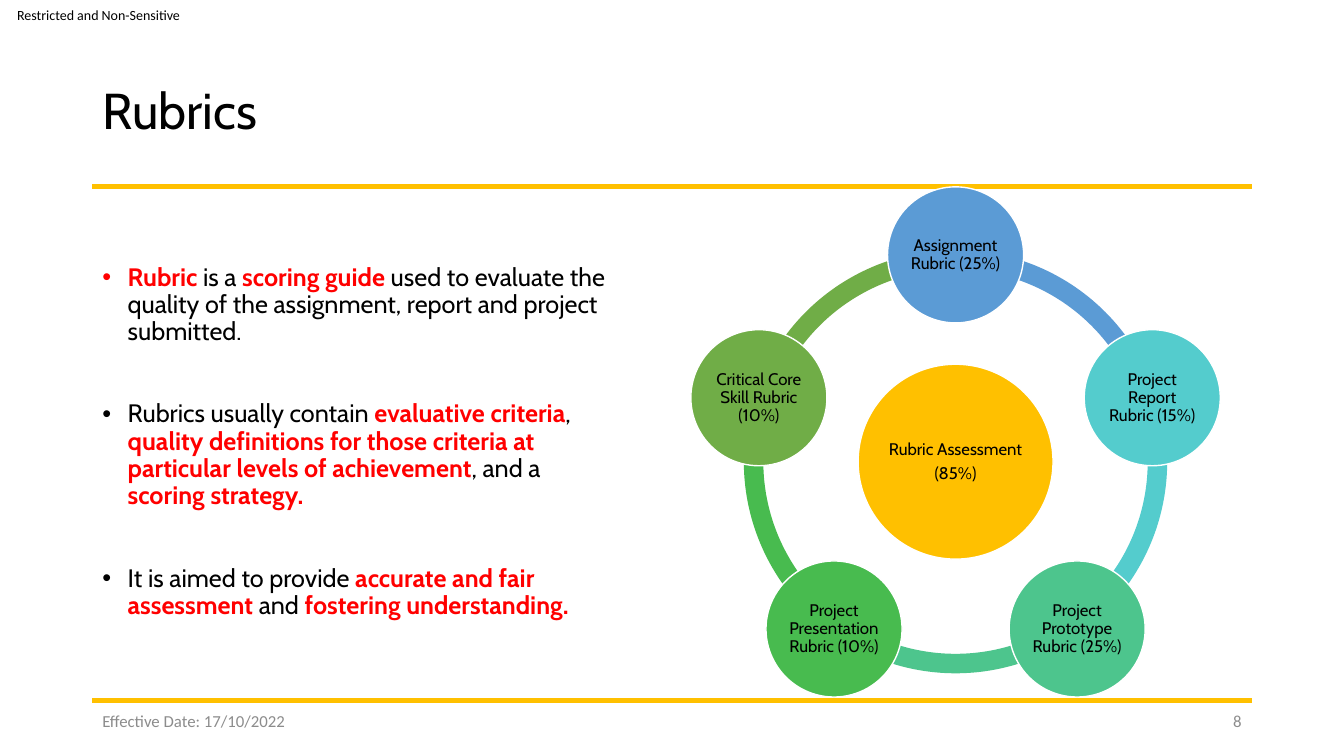
from dataclasses import dataclass
from math import cos, pi, sin

from lxml.etree import SubElement
from pptx import Presentation
from pptx.dml.color import RGBColor
from pptx.enum.shapes import MSO_CONNECTOR as Connector, MSO_SHAPE as Preset
from pptx.enum.text import MSO_ANCHOR as Anchor, MSO_AUTO_SIZE as AutoSize, PP_ALIGN as Align
from pptx.oxml.ns import qn
from pptx.shapes.autoshape import Shape
from pptx.shapes.shapetree import GroupShapes, SlideShapes
from pptx.slide import Slide
from pptx.text.text import TextFrame, _Paragraph as Paragraph
from pptx.util import Emu, Inches, Pt

SLIDE_WIDTH, SLIDE_HEIGHT = Inches(13.333), Inches(7.5)
COLUMNS, ROWS = 160, 150

BLACK = RGBColor(0x00, 0x00, 0x00)
WHITE = RGBColor(0xFF, 0xFF, 0xFF)
RED = RGBColor(0xFF, 0x00, 0x00)
GRAY = RGBColor(0x8C, 0x8C, 0x8C)
GOLD = RGBColor(0xFF, 0xC0, 0x00)
BLUE = RGBColor(0x5B, 0x9B, 0xD5)
TURQUOISE = RGBColor(0x54, 0xCC, 0xCD)
SEA_GREEN = RGBColor(0x4D, 0xC5, 0x8D)
GREEN = RGBColor(0x48, 0xBB, 0x4F)
OLIVE = RGBColor(0x70, 0xAD, 0x47)

LEFT_MARGIN, CONTENT_WIDTH = 11, 138
HEADER_RULE, FOOTER_RULE = 37, 139
CENTER_COLUMN, CENTER_ROW = 113.76, 91.6
RING_DIAMETER, ORBIT_RADIUS = 50.4, 24.62
CORE_DIAMETER, RUBRIC_DIAMETER = 23.2, 16.2
FULL_TURN, TOP_ANGLE, RING_THICKNESS = 216, 162, 0.046


@dataclass(frozen=True)
class Style:
    font: str
    size: float
    color: RGBColor
    bold: bool = False


@dataclass(frozen=True)
class Rubric:
    label: str
    color: RGBColor


@dataclass(frozen=True)
class Caption:
    text: str
    left: float
    top: float
    width: float
    height: float
    style: Style
    align: Align = Align.LEFT
    inset: float = 0.1


TITLE = Style("Cabin", 36, BLACK)
PLAIN = Style("Cabin", 18, BLACK)
KEY = Style("Cabin", 18, RED, True)
LABEL = Style("Cabin", 12, BLACK)
FOOTER = Style("Calibri", 12, GRAY)
MARKING = Style("Calibri", 10, BLACK)

POINTS = [
    [
        ("Rubric", KEY),
        (" is a ", PLAIN),
        ("scoring guide", KEY),
        (" used to evaluate the quality of the assignment, report and project submitted.", PLAIN),
    ],
    [
        ("Rubrics usually contain ", PLAIN),
        ("evaluative criteria", KEY),
        (", ", PLAIN),
        ("quality definitions for those criteria at particular levels of achievement", KEY),
        (", and a ", PLAIN),
        ("scoring strategy.", KEY),
    ],
    [
        ("It is aimed to provide ", PLAIN),
        ("accurate and fair assessment ", KEY),
        ("and ", PLAIN),
        ("fostering understanding.", KEY),
    ],
]

RUBRICS = [
    Rubric("Assignment Rubric (25%)", BLUE),
    Rubric("Project Report Rubric (15%)", TURQUOISE),
    Rubric("Project Prototype Rubric (25%)", SEA_GREEN),
    Rubric("Project Presentation Rubric (10%)", GREEN),
    Rubric("Critical Core Skill Rubric (10%)", OLIVE),
]

CAPTIONS = [
    Caption("Restricted and Non-Sensitive", 0, 0, 23.5, 5.8, MARKING, inset=0.17),
    Caption("Effective Date: 17/10/2022", LEFT_MARGIN, FOOTER_RULE, 36, 8, FOOTER),
    Caption("8", 113, FOOTER_RULE, 36, 8, FOOTER, Align.RIGHT),
]


def col(count: float) -> Emu:
    return Emu(round(SLIDE_WIDTH * count / COLUMNS))


def row(count: float) -> Emu:
    return Emu(round(SLIDE_HEIGHT * count / ROWS))


def add_run(paragraph: Paragraph, text: str, style: Style) -> None:
    run = paragraph.add_run()
    run.text = text
    run.font.name = style.font
    run.font.size = Pt(style.size)
    run.font.bold = style.bold
    run.font.color.rgb = style.color


def prepare_frame(frame: TextFrame, side: float = 0.1, edge: float = 0.05) -> None:
    frame.word_wrap = True
    frame.auto_size = AutoSize.NONE
    frame.vertical_anchor = Anchor.MIDDLE
    frame.margin_left = frame.margin_right = Inches(side)
    frame.margin_top = frame.margin_bottom = Inches(edge)


def next_paragraph(frame: TextFrame, index: int) -> Paragraph:
    return frame.add_paragraph() if index else frame.paragraphs[0]


def place(shape: Shape, left: float, top: float, width: float, height: float) -> None:
    shape.left, shape.top = col(left), row(top)
    shape.width, shape.height = col(width), row(height)


def add_rule(shapes: SlideShapes, height: float) -> None:
    rule = shapes.add_connector(
        Connector.STRAIGHT,
        col(LEFT_MARGIN), row(height), col(LEFT_MARGIN + CONTENT_WIDTH), row(height),
    )
    rule.line.color.rgb = GOLD
    rule.line.width = Pt(3)
    SubElement(rule._element.spPr, qn("a:effectLst"))


def add_caption(shapes: SlideShapes, caption: Caption) -> None:
    box = shapes.add_textbox(
        col(caption.left), row(caption.top), col(caption.width), row(caption.height)
    )
    prepare_frame(box.text_frame, caption.inset)
    paragraph = box.text_frame.paragraphs[0]
    paragraph.alignment = caption.align
    add_run(paragraph, caption.text, caption.style)


def fill_title(slide: Slide) -> None:
    title = slide.shapes.title
    place(title, LEFT_MARGIN, 8, CONTENT_WIDTH, 29)
    prepare_frame(title.text_frame)
    paragraph = title.text_frame.paragraphs[0]
    paragraph.alignment = Align.LEFT
    paragraph.line_spacing = 0.9
    add_run(paragraph, "Rubrics", TITLE)


def fill_points(slide: Slide) -> None:
    body = slide.placeholders[1]
    place(body, LEFT_MARGIN, 39.8, 64.3, 95.8)
    prepare_frame(body.text_frame)
    for index, parts in enumerate(POINTS):
        paragraph = next_paragraph(body.text_frame, index)
        paragraph.line_spacing = 0.9
        paragraph.space_before = Pt(39.5 if index else 10)
        properties = paragraph._p.get_or_add_pPr()
        properties.set("marL", str(Inches(0.25)))
        properties.set("indent", str(-Inches(0.25)))
        for text, style in parts:
            add_run(paragraph, text, style)


def add_round(shapes: GroupShapes, preset: Preset, x: Emu, y: Emu,
              diameter: float, color: RGBColor) -> Shape:
    size = col(diameter)
    shape = shapes.add_shape(preset, x - size // 2, y - size // 2, size, size)
    shape.shadow.inherit = False
    shape.fill.solid()
    shape.fill.fore_color.rgb = color
    shape.line.fill.background()
    return shape


def add_circle(shapes: GroupShapes, x: Emu, y: Emu, diameter: float,
               color: RGBColor, lines: list[str]) -> None:
    circle = add_round(shapes, Preset.OVAL, x, y, diameter, color)
    circle.line.color.rgb = WHITE
    circle.line.width = Pt(1)
    prepare_frame(circle.text_frame, 0.02, 0.02)
    for index, text in enumerate(lines):
        paragraph = next_paragraph(circle.text_frame, index)
        paragraph.alignment = Align.CENTER
        paragraph.line_spacing = 0.9
        paragraph.space_after = Pt(4.2)
        add_run(paragraph, text, LABEL)


def add_rubric_cycle(slide: Slide) -> None:
    shapes = slide.shapes.add_group_shape().shapes
    x, y, step = col(CENTER_COLUMN), row(CENTER_ROW), FULL_TURN / len(RUBRICS)
    for index, rubric in reversed(list(enumerate(RUBRICS))):
        arc = add_round(shapes, Preset.BLOCK_ARC, x, y, RING_DIAMETER, rubric.color)
        arc.adjustments[0] = (TOP_ANGLE + index * step) % FULL_TURN
        arc.adjustments[1] = (TOP_ANGLE + (index + 1) * step) % FULL_TURN
        arc.adjustments[2] = RING_THICKNESS
    add_circle(shapes, x, y, CORE_DIAMETER, GOLD, ["Rubric Assessment", "(85%)"])
    for index, rubric in enumerate(RUBRICS):
        angle = 2 * pi * index / len(RUBRICS)
        add_circle(
            shapes, x + col(ORBIT_RADIUS * sin(angle)), y - col(ORBIT_RADIUS * cos(angle)),
            RUBRIC_DIAMETER, rubric.color, [rubric.label],
        )


def main() -> None:
    deck = Presentation()
    deck.slide_width, deck.slide_height = SLIDE_WIDTH, SLIDE_HEIGHT
    slide = deck.slides.add_slide(deck.slide_layouts[1])
    for height in (FOOTER_RULE, HEADER_RULE):
        add_rule(slide.shapes, height)
    fill_title(slide)
    fill_points(slide)
    for caption in CAPTIONS:
        add_caption(slide.shapes, caption)
    add_rubric_cycle(slide)
    deck.save("out.pptx")


if __name__ == "__main__":
    main()
